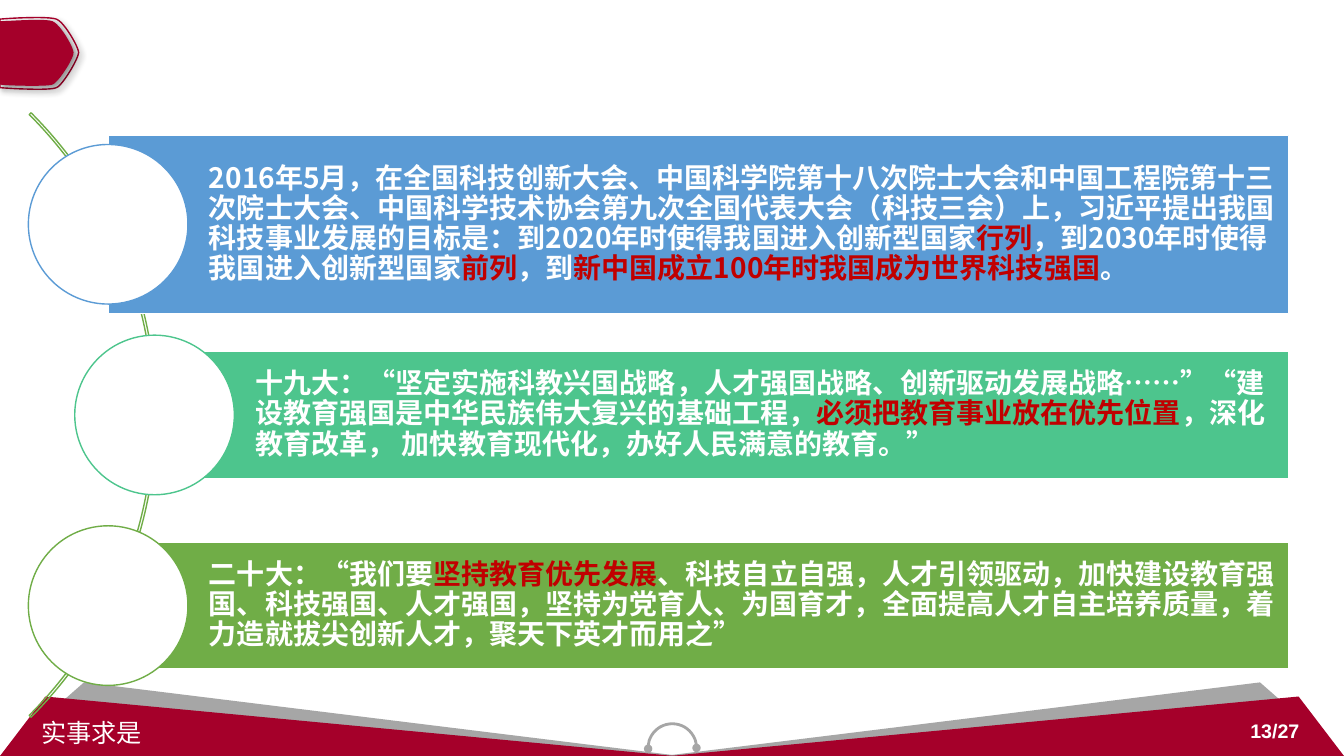
from dataclasses import dataclass

from lxml import etree
from pptx import Presentation
from pptx.dml.color import RGBColor
from pptx.enum.shapes import MSO_SHAPE
from pptx.enum.text import MSO_ANCHOR, PP_ALIGN
from pptx.oxml.ns import qn
from pptx.util import Inches, Pt

RECTANGLE, OVAL = MSO_SHAPE.RECTANGLE, MSO_SHAPE.OVAL
ARC, BLOCK_ARC = MSO_SHAPE.ARC, MSO_SHAPE.BLOCK_ARC
TOP, MIDDLE = MSO_ANCHOR.TOP, MSO_ANCHOR.MIDDLE
LEFT, RIGHT = PP_ALIGN.LEFT, PP_ALIGN.RIGHT

# The slide is a grid of 160 columns by 90 rows of square cells
COLUMNS, ROWS = 160, 90
CELL = Inches(7.5) / ROWS


@dataclass(frozen=True)
class Theme:
    crimson: str = "A5002A"
    gray: str = "A6A6A6"
    white: str = "FFFFFF"
    blue: str = "5B9BD5"
    teal: str = "4DC58D"
    green: str = "70AD47"
    emphasis: str = "C00000"
    chinese_font: str = "Noto Sans CJK SC"
    number_font: str = "Arial"
    body_size: int = 20
    motto_size: int = 18
    number_size: int = 14


THEME = Theme()


@dataclass(frozen=True)
class Milestone:
    left: float
    height: float
    color: str
    phrases: tuple[str, ...]  # plain and emphasised text in turn


MILESTONES = (
    Milestone(12.88, 21.2, THEME.blue, (
        "2016年5月，在全国科技创新大会、中国科学院第十八次院士大会和中国工程院第十三次院士大会、"
        "中国科学技术协会第九次全国代表大会（科技三会）上，习近平提出我国科技事业发展的目标是："
        "到2020年时使得我国进入创新型国家",
        "行列", "，到2030年时使得我国进入创新型国家", "前列", "，到",
        "新中国成立100年时我国成为世界科技强国", "。")),
    Milestone(18.4, 15.1, THEME.teal, (
        "十九大：“坚定实施科教兴国战略，人才强国战略、创新驱动发展战略……”"
        "“建设教育强国是中华民族伟大复兴的基础工程，",
        "必须把教育事业放在优先位置",
        "，深化教育改革， 加快教育现代化，办好人民满意的教育。”")),
    Milestone(12.88, 15.1, THEME.green, (
        "二十大：“我们要", "坚持教育优先发展",
        "、科技自立自强，人才引领驱动，加快建设教育强国、科技强国、人才强国，坚持为党育人、为国育才，"
        "全面提高人才自主培养质量，着力造就拔尖创新人才，聚天下英才而用之”")),
)
FIRST_CENTER, PITCH, BAR_RIGHT = 26.7, 22.7, 153.44
CIRCLE, ARC_RADIUS, ARC_CENTER = 19, 50.88, -32.28

Point = tuple[float, float]
Curve = tuple[Point, Point, Point]

# Tab outlines: Bezier curves from the upper left round to the lower left
TAB_EDGE: tuple[Curve, ...] = (
    ((1.32, 2.16), (5.64, 1.92), (6.72, 2.28)),
    ((7.68, 2.64), (9.36, 5.64), (9.36, 6.24)),
    ((9.36, 6.96), (7.44, 10.2), (6.72, 10.44)),
    ((6, 10.8), (1.32, 10.56), (0, 10.44)),
)
TAB_BODY: tuple[Curve, ...] = (
    ((1.2, 2.52), (5.28, 2.16), (6.24, 2.52)),
    ((7.2, 2.88), (8.76, 5.64), (8.76, 6.24)),
    ((8.88, 6.84), (6.96, 9.84), (6.24, 10.08)),
    ((5.52, 10.32), (1.2, 10.2), (0, 10.08)),
)
GRAY_WING: tuple[Point, ...] = ((0, ROWS), (10, 81.24), (81, ROWS))
RED_WING: tuple[Point, ...] = ((0, ROWS), (5.4, 82.92), (80.28, ROWS))


def cells(count: float) -> int:
    return round(count * CELL)


def paint(shape, fill: str = "", line: str = "", width: float = 1) -> None:
    shape.shadow.inherit = False
    if fill:
        shape.fill.solid()
        shape.fill.fore_color.rgb = RGBColor.from_string(fill)
    else:
        shape.fill.background()
    if line:
        shape.line.color.rgb = RGBColor.from_string(line)
        shape.line.width = Pt(width)
    else:
        shape.line.fill.background()


def add_preset(slide, kind, left: float, top: float, width: float, height: float):
    return slide.shapes.add_shape(kind, cells(left), cells(top), cells(width), cells(height))


def add_outline(slide, points: list[Point]):
    corners = [(cells(x), cells(y)) for x, y in points]
    builder = slide.shapes.build_freeform(*corners[0])
    builder.add_line_segments(corners[1:], close=True)
    return builder.convert_to_shape()


def trace(start: Point, curves: tuple[Curve, ...], steps: int = 12) -> list[Point]:
    points = [start]
    for first, second, end in curves:
        origin = points[-1]
        for step in range(1, steps + 1):
            t = step / steps
            weights = ((1 - t) ** 3, 3 * t * (1 - t) ** 2, 3 * t * t * (1 - t), t ** 3)
            knots = (origin, first, second, end)
            points.append((sum(w * k[0] for w, k in zip(weights, knots)),
                           sum(w * k[1] for w, k in zip(weights, knots))))
    return points


def add_soft_shadow(shape) -> None:
    effects = shape.element.spPr.find(qn("a:effectLst"))
    shadow = etree.SubElement(effects, qn("a:outerShdw"), blurRad=str(Pt(4)),
                              dist=str(Pt(3)), dir="2700000", algn="tl", rotWithShape="0")
    color = etree.SubElement(shadow, qn("a:srgbClr"), val="000000")
    etree.SubElement(color, qn("a:alpha"), val="40000")


def format_run(run, font_name: str, size: int, color: str, bold: bool) -> None:
    run.font.name = font_name
    run.font.size = Pt(size)
    run.font.bold = bold
    run.font.color.rgb = RGBColor.from_string(color)
    properties = run.font._element
    properties.set("lang", "zh-CN")
    etree.SubElement(properties, qn("a:ea"), typeface=font_name)


def add_label(slide, text: str, box: tuple[float, float, float, float], font_name: str,
              size: int, bold: bool, align, anchor) -> None:
    frame = slide.shapes.add_textbox(*map(cells, box)).text_frame
    frame.word_wrap = True
    frame.vertical_anchor = anchor
    frame.text = text
    paragraph = frame.paragraphs[0]
    paragraph.alignment = align
    format_run(paragraph.runs[0], font_name, size, THEME.white, bold)


def add_milestone(slide, milestone: Milestone, center: float) -> None:
    bar = add_preset(slide, RECTANGLE, milestone.left, center - milestone.height / 2,
                     BAR_RIGHT - milestone.left, milestone.height)
    paint(bar, milestone.color, THEME.white)
    frame = bar.text_frame
    frame.word_wrap = True
    frame.vertical_anchor = MIDDLE
    frame.margin_left = cells(12)
    frame.margin_top = frame.margin_right = frame.margin_bottom = cells(0.72)
    paragraph = frame.paragraphs[0]
    paragraph.alignment = LEFT
    paragraph.line_spacing = 0.9
    for index, phrase in enumerate(milestone.phrases):
        run = paragraph.add_run()
        run.text = phrase
        color = THEME.emphasis if index % 2 else THEME.white
        format_run(run, THEME.chinese_font, THEME.body_size, color, True)
    circle = add_preset(slide, OVAL, milestone.left - CIRCLE / 2, center - CIRCLE / 2,
                        CIRCLE, CIRCLE)
    paint(circle, THEME.white, milestone.color)


def add_frame(slide) -> None:
    # Tab at the upper left
    edge = add_outline(slide, trace((0, 2.28), TAB_EDGE))
    paint(edge, line=THEME.crimson)
    body = add_outline(slide, trace((0, 2.52), TAB_BODY))
    paint(body, THEME.crimson)
    for shape in (edge, body):
        add_soft_shadow(shape)
    # Footer wings, each mirrored about the middle
    for wing, color in ((GRAY_WING, THEME.gray), (RED_WING, THEME.crimson)):
        paint(add_outline(slide, [(COLUMNS - x, y) for x, y in wing]), color)
        paint(add_outline(slide, list(wing)), color)
    # Half ring with round ends
    ring = add_preset(slide, ARC, 77.16, 86.16, 5.76, 5.76)
    ring.adjustments[0], ring.adjustments[1] = 106.76, 0
    paint(ring, line=THEME.gray, width=2)
    for end in ("a:headEnd", "a:tailEnd"):
        etree.SubElement(ring.element.spPr.find(qn("a:ln")), qn(end), type="oval")
    # Footer labels
    add_label(slide, "实事求是", (3.72, 84.84, 20.52, 4.8), THEME.chinese_font,
              THEME.motto_size, False, LEFT, TOP)
    add_label(slide, "13/27", (119.88, 84.6, 36, 4.8), THEME.number_font,
              THEME.number_size, True, RIGHT, MIDDLE)


def main() -> None:
    presentation = Presentation()
    presentation.slide_width, presentation.slide_height = cells(COLUMNS), cells(ROWS)
    slide = presentation.slides.add_slide(presentation.slide_layouts[6])
    add_frame(slide)
    # Curved spine behind the milestones
    spine = add_preset(slide, BLOCK_ARC, ARC_CENTER - ARC_RADIUS,
                       FIRST_CENTER + PITCH - ARC_RADIUS, 2 * ARC_RADIUS, 2 * ARC_RADIUS)
    for index, value in enumerate((189, 27, 0.003)):
        spine.adjustments[index] = value
    paint(spine, line=THEME.green)
    for index, milestone in enumerate(MILESTONES):
        add_milestone(slide, milestone, FIRST_CENTER + index * PITCH)
    presentation.save("out.pptx")


if __name__ == "__main__":
    main()
